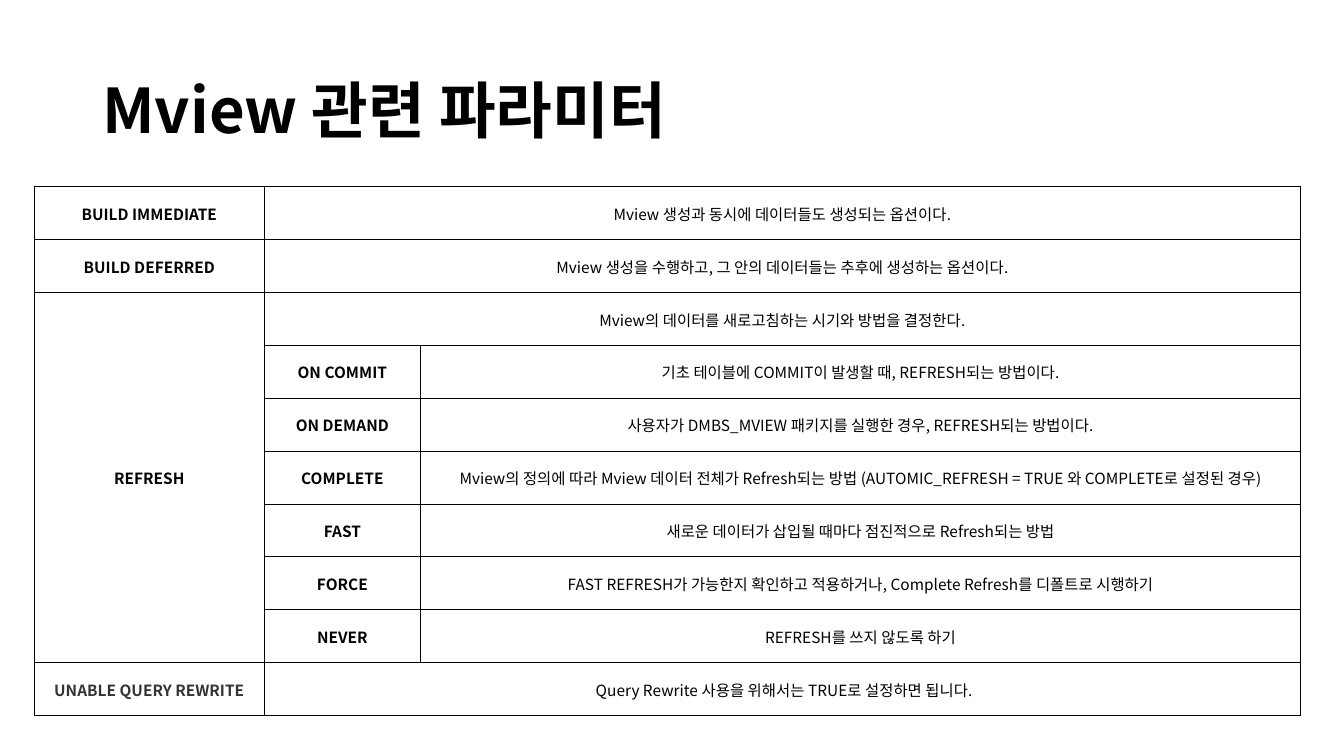
from dataclasses import dataclass

from lxml import etree
from pptx import Presentation
from pptx import util as u
from pptx.dml.color import RGBColor
from pptx.enum import text
from pptx.oxml.ns import qn

FONT = "Noto Sans CJK KR"
BLACK, GRAY, WHITE = "000000", "333333", "FFFFFF"
COLUMN_WIDTHS = (164.2, 111.6, 628.5)
ROW_HEIGHT = 37.8


@dataclass
class Entry:
    """One cell of the parameter table, with the area it covers."""
    row: int
    column: int
    wording: str
    row_span: int = 1
    column_span: int = 1
    bold: bool = False
    color: str = BLACK


def rgb(value: str) -> RGBColor:
    return RGBColor.from_string(value)


def style_text(paragraph, size: float, bold: bool, color: str) -> None:
    for run in paragraph.runs:
        run.font.size = u.Pt(size)
        run.font.bold = bold
        run.font.name = FONT
        run.font.color.rgb = rgb(color)
        east_asian = etree.SubElement(run.font._element, qn("a:ea"))
        east_asian.set("typeface", FONT)


def style_cell(cell) -> None:
    properties = cell._tc.get_or_add_tcPr()
    for side in ("lnL", "lnR", "lnT", "lnB"):
        border = etree.SubElement(properties, qn(f"a:{side}"), w=str(u.Pt(0.5)))
        line_fill = etree.SubElement(border, qn("a:solidFill"))
        etree.SubElement(line_fill, qn("a:srgbClr"), val=BLACK)
    cell.fill.solid()
    cell.fill.fore_color.rgb = rgb(WHITE)
    cell.vertical_anchor = text.MSO_ANCHOR.MIDDLE
    cell.margin_left = cell.margin_right = cell.margin_top = u.Pt(0.7)
    cell.margin_bottom = 0


def write_entry(grid, entry: Entry) -> None:
    cell = grid.cell(entry.row, entry.column)
    if entry.row_span * entry.column_span > 1:
        cell.merge(grid.cell(entry.row + entry.row_span - 1,
                             entry.column + entry.column_span - 1))
    paragraph = cell.text_frame.paragraphs[0]
    paragraph.text = entry.wording
    paragraph.alignment = text.PP_ALIGN.CENTER
    style_text(paragraph, 11, entry.bold, entry.color)


# Options that take the full width beside their name
build_options = [
    (0, "BUILD IMMEDIATE", 1, BLACK, "Mview 생성과 동시에 데이터들도 생성되는 옵션이다."),
    (1, "BUILD DEFERRED", 1, BLACK,
     "Mview 생성을 수행하고, 그 안의 데이터들는 추후에 생성하는 옵션이다."),
    (2, "REFRESH", 7, BLACK, "Mview의 데이터를 새로고침하는 시기와 방법을 결정한다."),
    (9, "UNABLE QUERY REWRITE", 1, GRAY,
     " Query Rewrite 사용을 위해서는 TRUE로 설정하면 됩니다."),
]

# Choices within REFRESH
refresh_choices = [
    ("ON COMMIT", "기초 테이블에 COMMIT이 발생할 때, REFRESH되는 방법이다."),
    ("ON DEMAND", "사용자가 DMBS_MVIEW 패키지를 실행한 경우, REFRESH되는 방법이다."),
    ("COMPLETE", "Mview의 정의에 따라 Mview 데이터 전체가 Refresh되는 방법 "
                 "(AUTOMIC_REFRESH = TRUE 와 COMPLETE로 설정된 경우)"),
    ("FAST", "새로운 데이터가 삽입될 때마다 점진적으로 Refresh되는 방법"),
    ("FORCE", "FAST REFRESH가 가능한지 확인하고 적용하거나, "
              "Complete Refresh를 디폴트로 시행하기"),
    ("NEVER", "REFRESH를 쓰지 않도록 하기"),
]

entries = []
for row, option, span, color, meaning in build_options:
    entries.append(Entry(row, 0, option, row_span=span, bold=True, color=color))
    entries.append(Entry(row, 1, meaning, column_span=2))
for row, (choice, meaning) in enumerate(refresh_choices, start=3):
    entries.append(Entry(row, 1, choice, bold=True))
    entries.append(Entry(row, 2, meaning))

presentation = Presentation()
presentation.slide_width, presentation.slide_height = u.Pt(960), u.Pt(540)
slide = presentation.slides.add_slide(presentation.slide_layouts[6])

# Heading
heading = slide.shapes.add_textbox(u.Pt(66), u.Pt(28.8), u.Pt(828), u.Pt(104.4)).text_frame
heading.word_wrap = True
heading.vertical_anchor = text.MSO_ANCHOR.MIDDLE
heading.text = "Mview 관련 파라미터"
heading.paragraphs[0].line_spacing = 0.9
style_text(heading.paragraphs[0], 44, True, BLACK)

# Parameter table
row_count = 10
parameters = slide.shapes.add_table(
    row_count, len(COLUMN_WIDTHS), u.Pt(24.6), u.Pt(133.2),
    u.Pt(sum(COLUMN_WIDTHS)), u.Pt(ROW_HEIGHT * row_count)).table
parameters.first_row = parameters.horz_banding = False
for column, width in zip(parameters.columns, COLUMN_WIDTHS):
    column.width = u.Pt(width)
for table_row in parameters.rows:
    table_row.height = u.Pt(ROW_HEIGHT)
for cell in parameters.iter_cells():
    style_cell(cell)
for entry in entries:
    write_entry(parameters, entry)

presentation.save("out.pptx")
